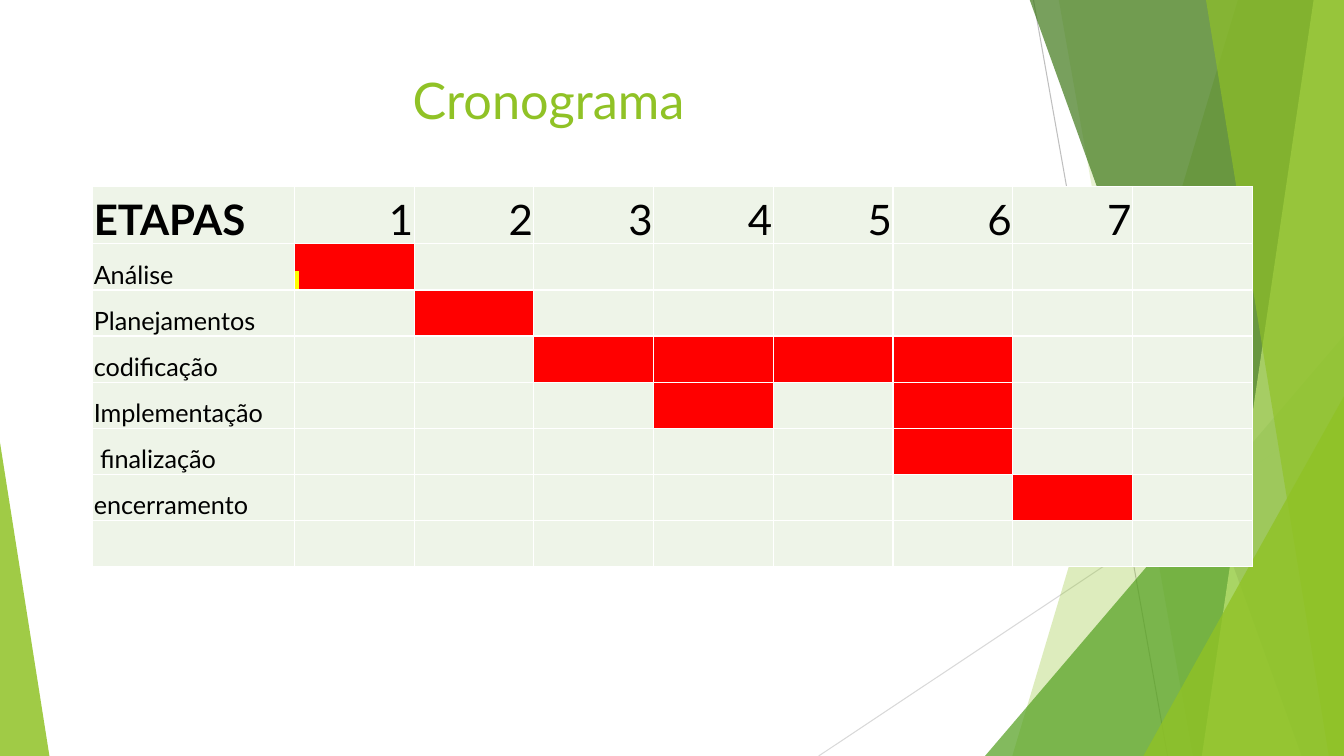
from dataclasses import dataclass
from lxml.etree import SubElement as Sub
from pptx import Presentation
from pptx.dml.color import RGBColor as Rgb
from pptx.enum.shapes import MSO_CONNECTOR as Conn, MSO_SHAPE as Shape
from pptx.enum.text import MSO_ANCHOR as Anchor, PP_ALIGN as Align
from pptx.oxml import parse_xml
from pptx.oxml.ns import nsdecls, qn
from pptx.util import Pt

PX = 9144  # 100 px to the inch


@dataclass(frozen=True)
class Theme:
    font: str = "Lato"
    green: str = "90C226"
    leaf: str = "54A021"
    dark: str = "3F7819"
    lime: str = "C0E474"
    cell: str = "EEF4E8"
    bar: str = "FF0000"
    mark: str = "FFFF00"
    text: str = "000000"
    grid: str = "FFFFFF"
    title: int = 36
    head: int = 30
    body: int = 18
    small: int = 11


T = Theme()


def tint(shape, color, alpha):
    """Fill a shape with a see-through colour, without line or shadow."""
    shape.shadow.inherit = False
    shape.line.fill.background()
    shape.fill.solid()
    shape.fill.fore_color.rgb = Rgb.from_string(color)
    clr = shape._element.spPr.find(".//" + qn("a:srgbClr"))
    Sub(clr, qn("a:alpha"), val=str(alpha * 1000))


def style(font, size, color, bold=False):
    font.name = T.font
    font.size = Pt(size)
    font.bold = bold
    font.color.rgb = Rgb.from_string(color)


deck = Presentation()
deck.slide_width, deck.slide_height = 1333 * PX, 750 * PX
slide = deck.slides.add_slide(deck.slide_layouts[5])
shapes = slide.shapes

# Thin lines behind the facets
for x1, y1, x2, y2, color in [
    (1025, 0, 1158, 750, "BFBFBF"),
    (1333, 403, 812, 750, "D9D9D9"),
]:
    line = shapes.add_connector(
        Conn.STRAIGHT, x1 * PX, y1 * PX, x2 * PX, y2 * PX)
    line.line.color.rgb = Rgb.from_string(color)
    line.line.width = Pt(0.75)
    Sub(line._element.spPr, qn("a:effectLst"))

# Facets: a band is (top x, bottom x), running to the right edge;
# a triangle is (left, top, width, height, tip)
facets = [
    ((1228, 1004), T.green, 30),
    ((1050, 1183), T.green, 20),
    ((977, 333, 356, 417, 1), T.leaf, 72),
    ((1021, 1291), T.dark, 70),
    ((1303, 1192), T.lime, 70),
    ((1196, 1318), T.green, 65),
    ((1134, 393, 199, 357, 1), T.green, 80),
    ((0, 439, 49, 311, 0), T.green, 85),
]
for form, color, alpha in facets:
    if len(form) == 2:
        top, base = form
        pen = shapes.build_freeform(top, -1, scale=PX)
        pen.add_line_segments([(1333, -1), (1333, 750), (base, 750)])
        facet = pen.convert_to_shape()
    else:
        *box, tip = form
        facet = shapes.add_shape(Shape.ISOSCELES_TRIANGLE, *(v * PX for v in box))
        facet.adjustments[0] = tip
    tint(facet, color, alpha)

# Title
title = shapes.title
title.left, title.top, title.width, title.height = (
    v * PX for v in (74, 64, 940, 147))
frame = title.text_frame
frame.text = "Cronograma"
frame.vertical_anchor = Anchor.TOP
frame.paragraphs[0].alignment = Align.CENTER
style(frame.paragraphs[0].font, T.title, T.green)

# Schedule: each stage with the periods it fills
stages = [
    ("Análise", [1]),
    ("Planejamentos", [2]),
    ("codificação", [3, 4, 5, 6]),
    ("Implementação", [4, 6]),
    (" finalização", [6]),
    ("encerramento", [7]),
    ("", []),
]
rows = [(["ETAPAS", *"1234567", ""], [])]
rows += [([name] + [""] * 8, busy) for name, busy in stages]

wide, high, first, head = 1150, 377, 200, 57
table = shapes.add_table(
    len(rows), 9, 92 * PX, 185 * PX, wide * PX, high * PX).table
table.first_row = table.horz_banding = False
for c, col in enumerate(table.columns):
    col.width = first * PX if c == 0 else (wide - first) * PX // 8
for r, row in enumerate(table.rows):
    row.height = head * PX if r == 0 else (high - head) * PX // len(stages)

for r, (words, busy) in enumerate(rows):
    for c, word in enumerate(words):
        cell = table.cell(r, c)
        cell.margin_left = cell.margin_right = cell.margin_top = PX
        cell.margin_bottom = 0
        cell.vertical_anchor = Anchor.BOTTOM
        cell.fill.solid()
        cell.fill.fore_color.rgb = Rgb.from_string(T.bar if c in busy else T.cell)
        for i, side in enumerate("LRTB"):
            cell._tc.tcPr.insert(i, parse_xml(
                f'<a:ln{side} {nsdecls("a")} w="12700"><a:solidFill>'
                f'<a:srgbClr val="{T.grid}"/></a:solidFill></a:ln{side}>'))
        para = cell.text_frame.paragraphs[0]
        if word:
            para.text = word
        para.alignment = Align.RIGHT if r == 0 and c else Align.LEFT
        style(para.font, T.body if r else T.head, T.text, r == c == 0)

# Small yellow mark at the start of the first bar
para = table.cell(1, 1).text_frame.paragraphs[0]
style(para.font, T.small, T.text)
run = para.add_run()
run.text = " "
glow = Sub(run.font._element, qn("a:highlight"))
Sub(glow, qn("a:srgbClr"), val=T.mark)

deck.save("out.pptx")
